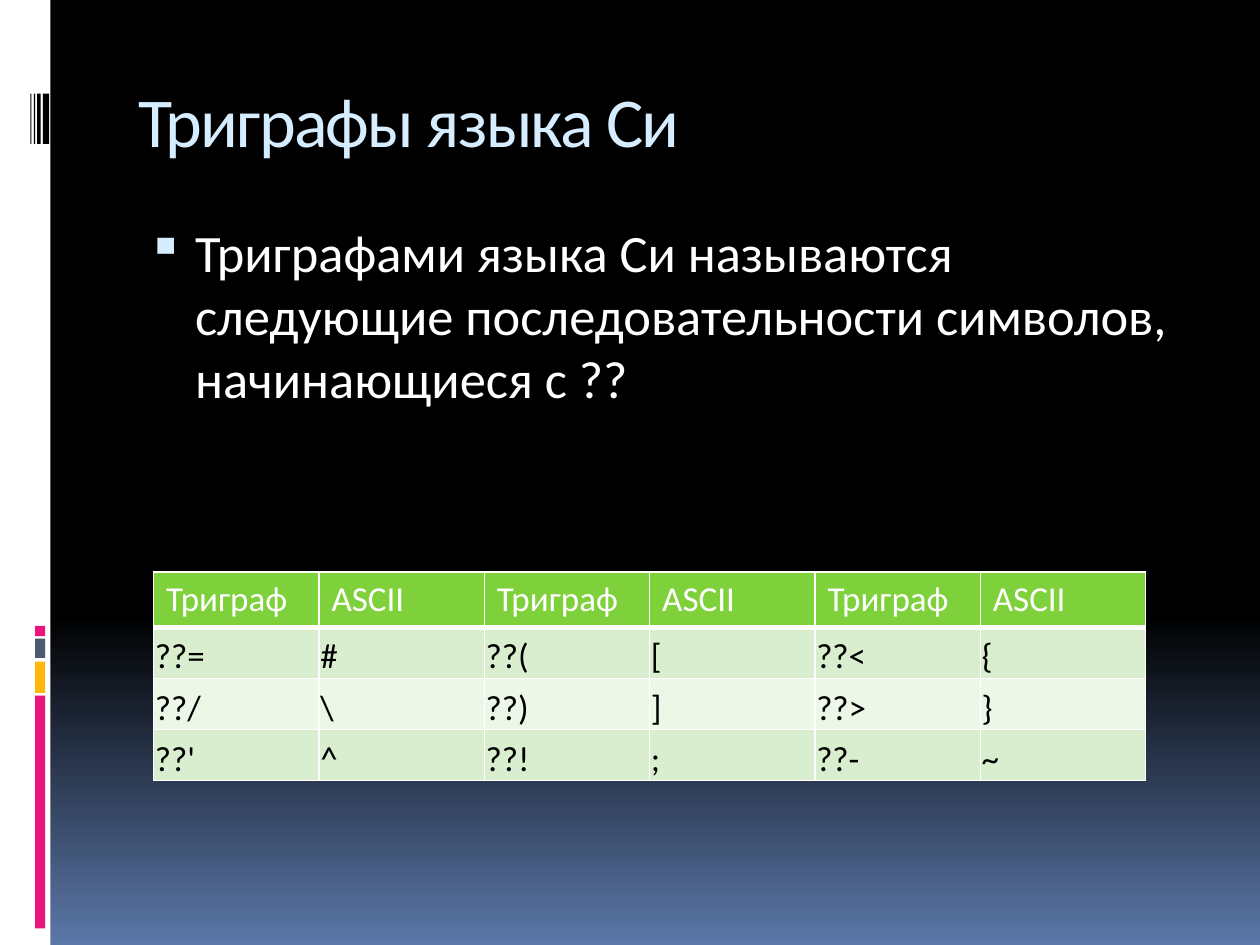
"""Build a slide on the trigraphs of the C language with a table of sequences."""
from lxml import etree
from pptx import Presentation
from pptx.dml.color import RGBColor
from pptx.enum import shapes, text
from pptx.oxml.ns import qn
from pptx.util import Pt

WHITE, BLACK, PALE_BLUE, PINK = "FFFFFF", "000000", "D6ECFF", "EA157A"


def color(value):
    return RGBColor.from_string(value)


def style(paragraph, size, value):
    paragraph.font.name = "Calibri"
    paragraph.font.size = Pt(size)
    paragraph.font.color.rgb = color(value)


deck = Presentation()
deck.slide_width, deck.slide_height = Pt(720), Pt(540)
slide = deck.slides.add_slide(deck.slide_layouts[6])

backdrop = slide.background.fill
backdrop.gradient()
backdrop.gradient_angle = 270
for stop, position, value in zip(backdrop.gradient_stops, (0.65, 1), (BLACK, "5B77A8")):
    stop.position = position
    stop.color.rgb = color(value)

stripes = [
    (0, 0, 28.8, 540, WHITE),
    (20, 397.5, 5.8, 133, PINK),
    (20, 378, 5.8, 18, "FEB80A"),
    (20, 365, 5.8, 11, "4E5B6F"),
    (20, 357.7, 5.8, 5.8, PINK),
    (24.5, 53.5, 3.6, 28.8, BLACK),
    (21.2, 53.5, 2, 28.8, BLACK),
    (19.4, 53.5, 0.7, 28.8, BLACK),
    (17.3, 53.5, 0.7, 28.8, BLACK),
]
for left, top, width, height, value in stripes:
    stripe = slide.shapes.add_shape(
        shapes.MSO_SHAPE.RECTANGLE, Pt(left), Pt(top), Pt(width), Pt(height))
    stripe.shadow.inherit = False
    stripe.fill.solid()
    stripe.fill.fore_color.rgb = color(value)
    stripe.line.fill.background()

heading = slide.shapes.add_textbox(Pt(72), Pt(40.5), Pt(612), Pt(72)).text_frame
heading.word_wrap = True
heading.text = "Триграфы языка Си"
style(heading.paragraphs[0], 40, PALE_BLUE)
heading.paragraphs[0].runs[0].font._element.set("spc", "-100")

definition = slide.shapes.add_textbox(Pt(72), Pt(122.4), Pt(612), Pt(378)).text_frame
definition.word_wrap = True
definition.text = ("Триграфами языка Си называются следующие "
                   "последовательности символов, начинающиеся с ??")
sentence = definition.paragraphs[0]
style(sentence, 30, WHITE)
sentence.space_before = Pt(7)
bullet = sentence._p.get_or_add_pPr()
bullet.set("marL", str(Pt(32.4)))
bullet.set("indent", str(Pt(-27.4)))
bullet_style = [
    etree.Element(qn("a:buClr")),
    etree.Element(qn("a:buSzPct"), val="95000"),
    etree.Element(qn("a:buChar"), char="▪"),
]
etree.SubElement(bullet_style[0], qn("a:srgbClr"), val=PALE_BLUE)
spacing = bullet.find(qn("a:spcBef"))
for part in reversed(bullet_style):
    spacing.addnext(part)

trigraphs = [
    ["Триграф", "ASCII"] * 3,
    ["??=", "#", "??(", "[", "??<", "{"],
    ["??/", "\\", "??)", "]", "??>", "}"],
    ["??'", "^", "??!", ";", "??-", "~"],
]
row_fills = ["7FD13B", "D8EECE", "ECF7E8", "D8EECE"]
table = slide.shapes.add_table(4, 6, Pt(87.8), Pt(326.9), Pt(567), Pt(118.8)).table
for column in table.columns:
    column.width = Pt(94.5)
for r, (row, row_fill) in enumerate(zip(trigraphs, row_fills)):
    table.rows[r].height = Pt(29.2 if r else 31.6)
    for c, entry in enumerate(row):
        cell = table.cell(r, c)
        cell.text = entry
        style(cell.text_frame.paragraphs[0], 20, BLACK if r else WHITE)
        if r:
            cell.vertical_anchor = text.MSO_ANCHOR.BOTTOM
            cell.margin_left = cell.margin_right = cell.margin_top = Pt(0.75)
            cell.margin_bottom = 0
        borders = cell._tc.get_or_add_tcPr()
        for side in "LRTB":
            thick = (r, side) in ((0, "B"), (1, "T"))
            edge = etree.SubElement(borders, qn(f"a:ln{side}"), w=str(Pt(3 if thick else 1)))
            etree.SubElement(etree.SubElement(edge, qn("a:solidFill")), qn("a:srgbClr"), val=WHITE)
        cell.fill.solid()
        cell.fill.fore_color.rgb = color(row_fill)

deck.save("out.pptx")
